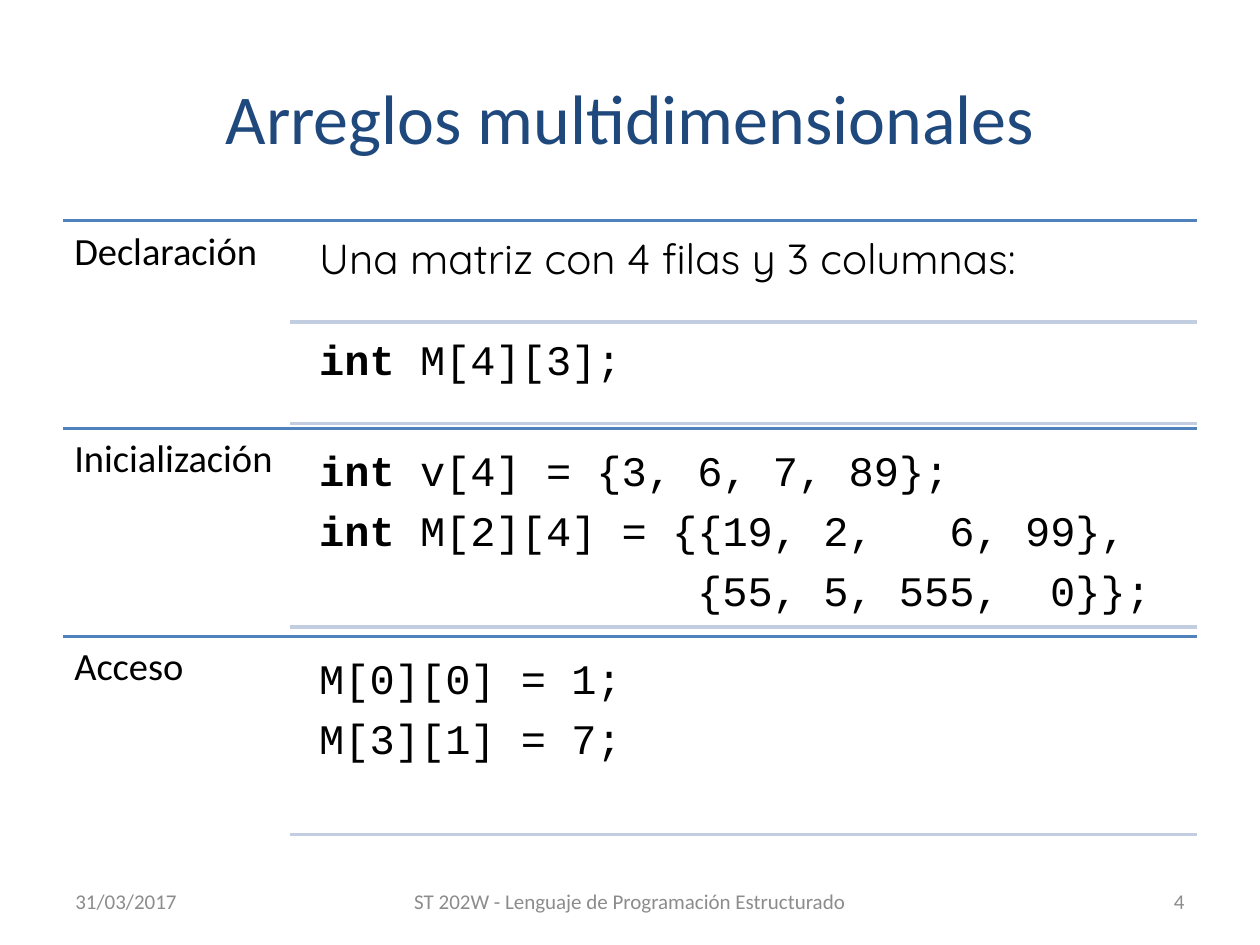
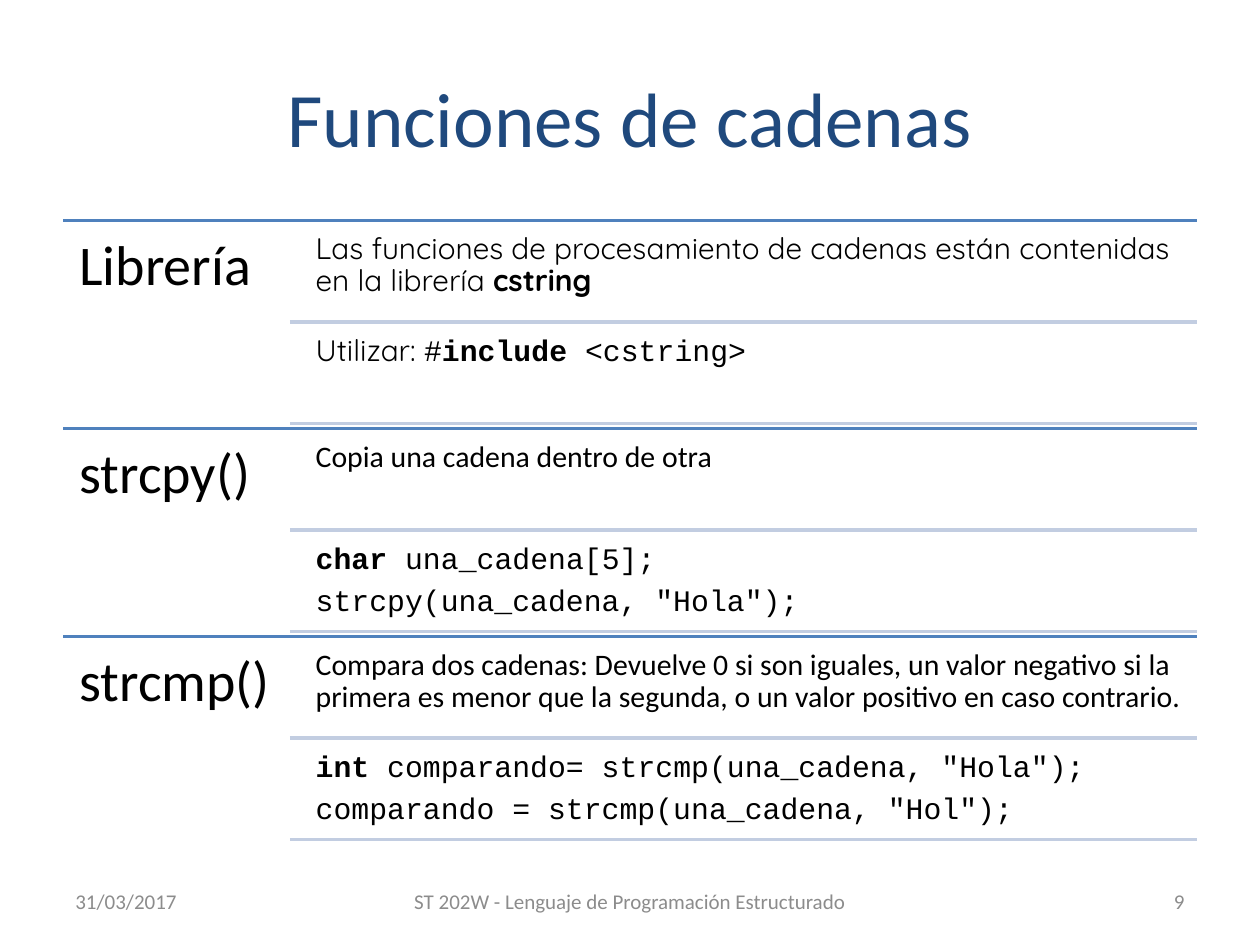
from dataclasses import dataclass
from typing import NamedTuple

from lxml.etree import SubElement
from pptx import Presentation
from pptx.dml.color import RGBColor
from pptx.enum.shapes import MSO_CONNECTOR as Link
from pptx.enum.text import MSO_ANCHOR as Anchor, PP_ALIGN as Align
from pptx.oxml.ns import qn
from pptx.util import Inches, Pt

# Shared look
NAVY, BLUE, PALE, BLACK, GREY = "1F497D", "4F81BD", "C2CDE1", "000000", "8C8C8C"
SANS, ROUND, CODE = "Calibri", "Quicksand", "Courier New"

# Shared grid, in inches
WIDE, HIGH = 10, 7.5
LEFT, RIGHT = 0.05 * WIDE, 0.95 * WIDE
SPAN = RIGHT - LEFT
SPLIT = LEFT + 0.2 * SPAN
BODY = SPLIT + 0.135
TOP, BAND = 1.75, 1.65
GAP = 0.075

DATE = "31/03/2017"
COURSE = "ST 202W - Lenguaje de Programación Estructurado"


class Box(NamedTuple):
    left: float
    top: float
    width: float
    height: float


class Bit(NamedTuple):
    text: str
    font: str = CODE
    bold: bool = False


class Line(NamedTuple):
    bits: list[Bit]
    chars: int = 0  # left indent, in code characters


class Style(NamedTuple):
    size: float
    color: str = BLACK
    inset: float = 0.1
    align: Align = Align.LEFT
    anchor: Anchor = Anchor.TOP
    loose: bool = False


class Row(NamedTuple):
    label: str
    cells: list[list[Line]]


@dataclass
class Page:
    title: str
    size: float
    label: Style
    cell: Style
    rows: list[Row]
    number: int


def paint(code: str) -> RGBColor:
    return RGBColor.from_string(code)


def plain(text: str, font: str = SANS) -> list[Line]:
    return [Line([Bit(text, font)])]


def code(text: str, key: str = "", chars: int = 0) -> Line:
    """A line of code, after an optional bold keyword."""
    bits = [Bit(key, bold=True)] if key else []
    return Line(bits + [Bit(text)], chars)


def space(para) -> None:
    """Tight lines, with a gap below of 35% of the line."""
    para.line_spacing = 0.9
    para.space_after = Pt(0)
    after = para._p.pPr.find(qn("a:spcAft"))
    after.clear()
    SubElement(after, qn("a:spcPct"), val="35000")


def write(slide, box: Box, lines: list[Line], style: Style) -> None:
    frame = slide.shapes.add_textbox(*map(Inches, box)).text_frame
    frame.word_wrap = True
    frame.vertical_anchor = style.anchor
    frame.margin_left = frame.margin_right = Inches(style.inset)
    frame.margin_top = frame.margin_bottom = Inches(style.inset)
    for i, line in enumerate(lines):
        para = frame.add_paragraph() if i else frame.paragraphs[0]
        para.alignment = style.align
        if style.loose:
            space(para)
        if line.chars:
            indent = Pt(line.chars * 0.6 * style.size)
            para._p.get_or_add_pPr().set("marL", str(indent))
        for bit in line.bits:
            run = para.add_run()
            run.text = bit.text
            run.font.name = bit.font
            run.font.size = Pt(style.size)
            run.font.bold = bit.bold
            run.font.color.rgb = paint(style.color)


def rule(slide, left: float, y: float, color: str) -> None:
    ends = map(Inches, (left, y, RIGHT, y))
    link = slide.shapes.add_connector(Link.STRAIGHT, *ends)
    link.line.color.rgb = paint(color)
    link.line.width = Pt(2)
    SubElement(link._element.spPr, qn("a:effectLst"))


def band(slide, top: float, row: Row, page: Page) -> None:
    """One labelled row whose cells share its height equally."""
    rule(slide, LEFT, top, BLUE)
    write(slide, Box(LEFT, top, SPLIT - LEFT, BAND), plain(row.label), page.label)
    count = len(row.cells)
    gap = GAP / count
    tall = (BAND - (count + 1) * gap) / count
    for i, cell in enumerate(row.cells):
        y = top + gap + i * (tall + gap)
        write(slide, Box(BODY, y, RIGHT - BODY, tall), cell, page.cell)
        rule(slide, SPLIT, y + tall, PALE)


def footer(slide, number: int) -> None:
    side, mid = 2.33, 3.67
    parts = [
        (LEFT, side, DATE, Align.LEFT),
        ((WIDE - mid) / 2, mid, COURSE, Align.CENTER),
        (RIGHT - side, side, str(number), Align.RIGHT),
    ]
    for left, width, text, align in parts:
        style = Style(12, GREY, align=align, anchor=Anchor.MIDDLE)
        write(slide, Box(left, 6.95, width, 0.4), plain(text), style)


def draw(deck, page: Page) -> None:
    slide = deck.slides.add_slide(deck.slide_layouts[6])
    head = Style(page.size, NAVY, align=Align.CENTER, anchor=Anchor.MIDDLE)
    write(slide, Box(LEFT, 0.04 * HIGH, SPAN, 1.25), plain(page.title), head)
    for i, row in enumerate(page.rows):
        band(slide, TOP + i * BAND, row, page)
    footer(slide, page.number)


# Content
ARRAYS = Page(
    "Arreglos multidimensionales", 40,
    Style(22, inset=0.09, loose=True), Style(24, loose=True),
    [
        Row("Declaración", [
            plain("Una matriz con 4 filas y 3 columnas:", ROUND),
            [code(" M[4][3];", "int")],
        ]),
        Row("Inicialización", [[
            code(" v[4] = {3, 6, 7, 89};", "int"),
            code(" M[2][4] = {{19, 2,   6, 99},", "int"),
            code("{55, 5, 555,  0}};", chars=15),
        ]]),
        Row("Acceso", [[code("M[0][0] = 1;"), code("M[3][1] = 7;")]]),
    ],
    4,
)

STRINGS = Page(
    "Funciones de cadenas", 44,
    Style(32, inset=0.13, loose=True), Style(17, inset=0.07, loose=True),
    [
        Row("Librería", [
            [Line([
                Bit("Las funciones de procesamiento de cadenas están "
                    "contenidas en la librería ", ROUND),
                Bit("cstring", ROUND, True),
            ])],
            [Line([
                Bit("Utilizar: ", ROUND), Bit("#"),
                Bit("include", bold=True), Bit(" <cstring>"),
            ])],
        ]),
        Row("strcpy()", [
            plain("Copia una cadena dentro de otra"),
            [code("una_cadena[5];", "char "),
             code('strcpy(una_cadena, "Hola");')],
        ]),
        Row("strcmp()", [
            plain("Compara dos cadenas: Devuelve 0 si son iguales, un valor "
                  "negativo si la primera es menor que la segunda, o un valor "
                  "positivo en caso contrario."),
            [code(' comparando= strcmp(una_cadena, "Hola");', "int"),
             code('comparando = strcmp(una_cadena, "Hol");')],
        ]),
    ],
    9,
)


def main() -> None:
    deck = Presentation()
    deck.slide_width, deck.slide_height = Inches(WIDE), Inches(HIGH)
    for page in (ARRAYS, STRINGS):
        draw(deck, page)
    deck.save("out.pptx")


if __name__ == "__main__":
    main()
